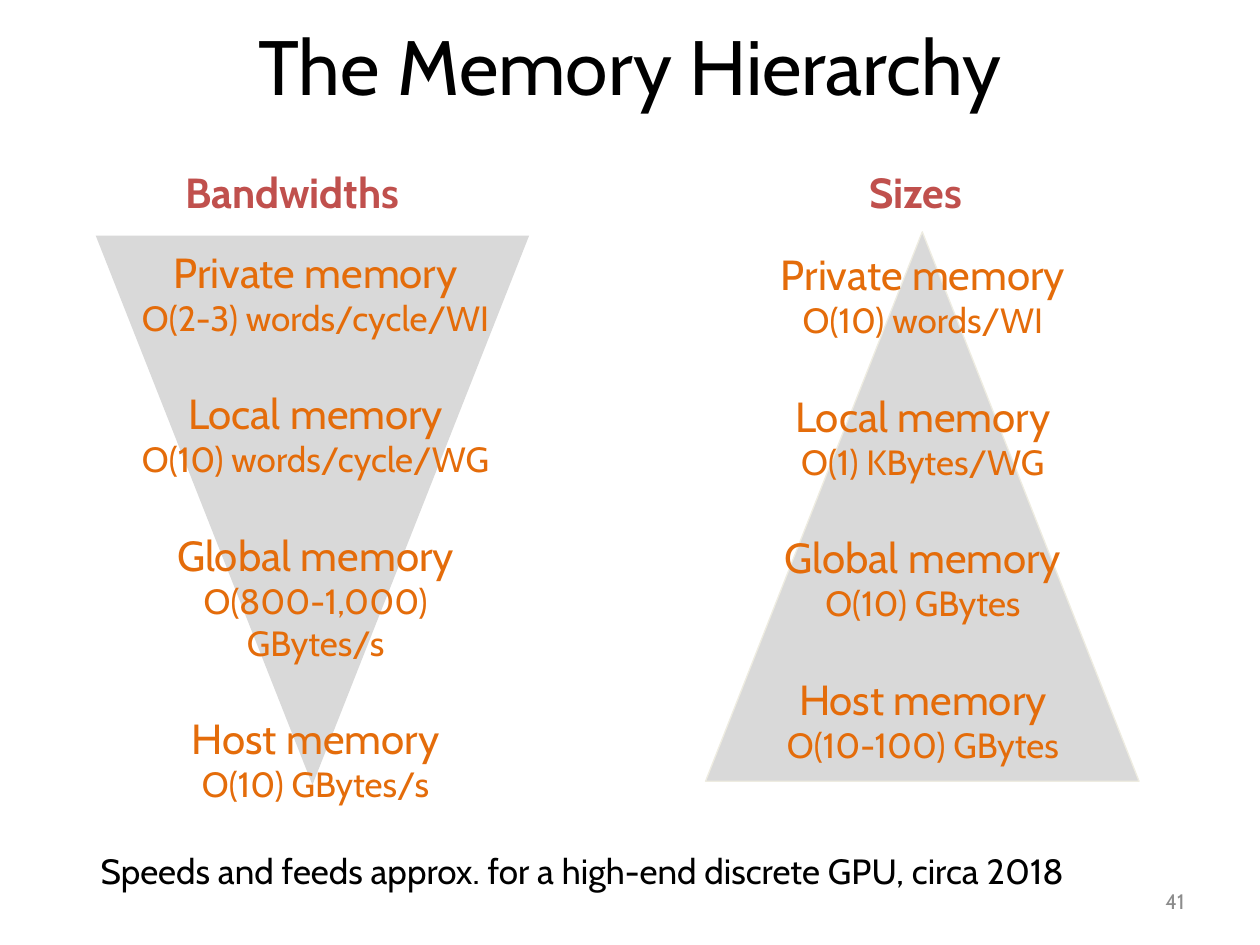
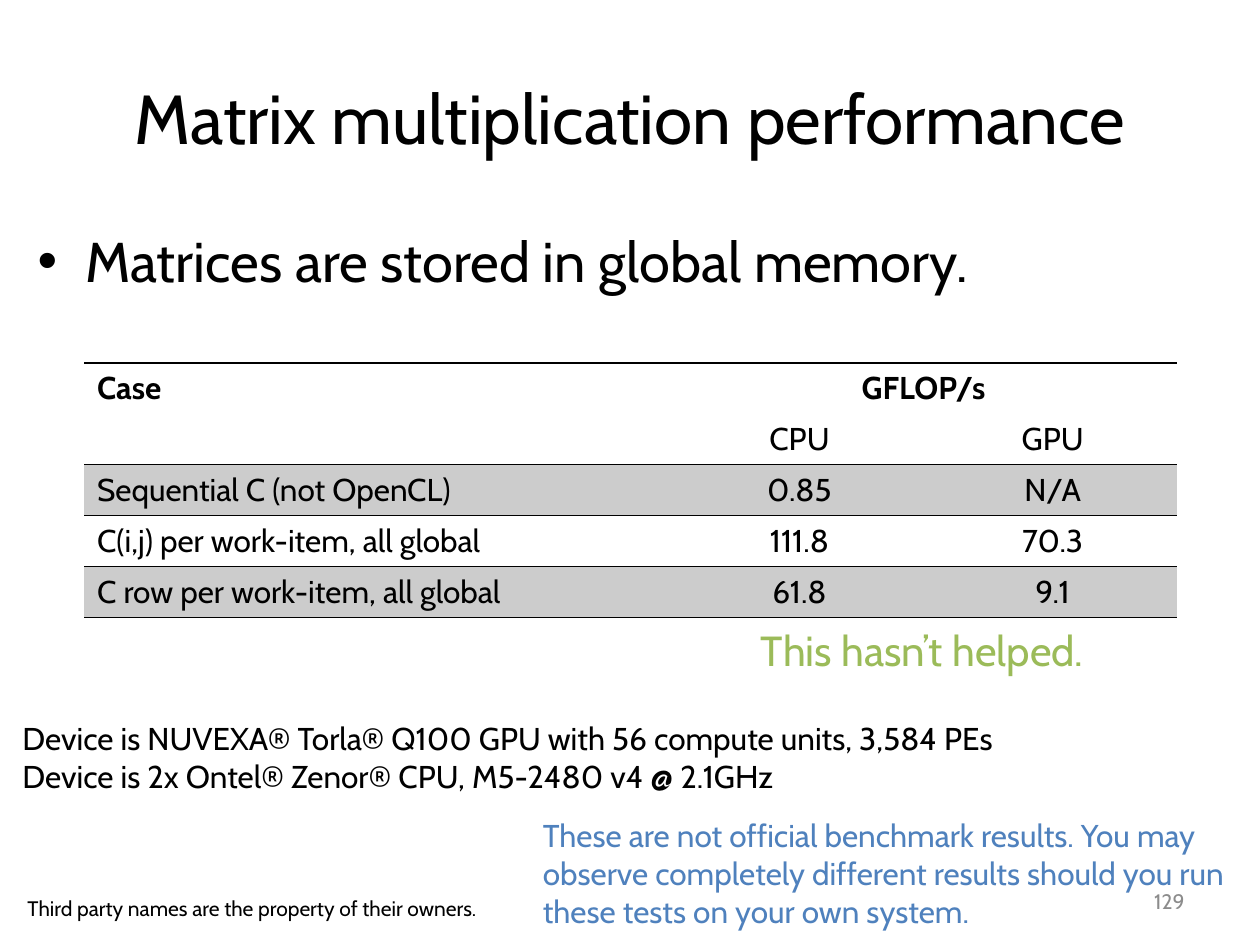
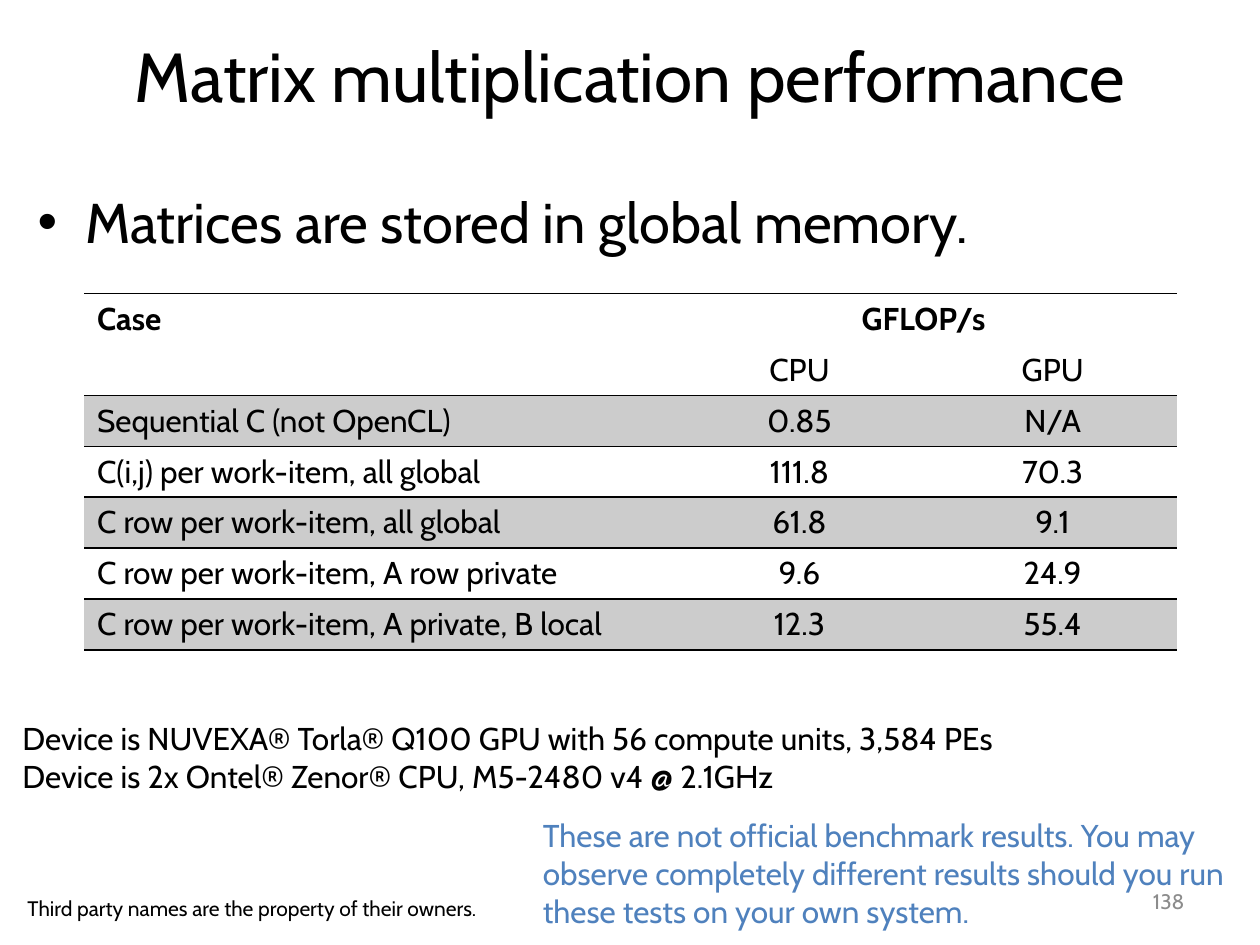
from lxml import etree
from pptx import Presentation
from pptx.dml.color import RGBColor
from pptx.enum.shapes import MSO_SHAPE
from pptx.enum.text import MSO_ANCHOR, MSO_AUTO_SIZE, PP_ALIGN
from pptx.oxml.ns import qn
from pptx.util import Inches, Pt

LEFT, CENTER, RIGHT = PP_ALIGN.LEFT, PP_ALIGN.CENTER, PP_ALIGN.RIGHT
TOP, MIDDLE = MSO_ANCHOR.TOP, MSO_ANCHOR.MIDDLE
NO_AUTOFIT = MSO_AUTO_SIZE.NONE
TRIANGLE = MSO_SHAPE.ISOSCELES_TRIANGLE

FONT = "Cabin"
BLACK, GREY, BAND, PYRAMID = "000000", "8C8C8C", "CCCCCC", "D9D9D9"
EDGE, RED, ORANGE, BLUE, GREEN = "EEECE1", "C0504D", "E46C0A", "4F81BD", "9BBB59"

TITLE_ONLY = 5
TIGHT = 0.99  # line spacing on the memory slide
LEVEL_GAP = 28.6  # points between memory levels
BULLET_INDENT = 0.38


def rgb(value):
    return RGBColor.from_string(value)


def set_border(cell, sides):
    """Rule the given sides ("T", "B") in black and clear the others."""
    properties = cell._tc.get_or_add_tcPr()
    for position, side in enumerate("LRTB"):
        line = etree.Element(qn(f"a:ln{side}"), w=str(Pt(1)))
        if side in sides:
            fill = etree.SubElement(line, qn("a:solidFill"))
            etree.SubElement(fill, qn("a:srgbClr"), val=BLACK)
        else:
            etree.SubElement(line, qn("a:noFill"))
        properties.insert(position, line)


class Deck:
    def __init__(self):
        self.presentation = Presentation()
        self.presentation.slide_width = Inches(10)
        self.presentation.slide_height = Inches(7.5)
        self.slide = None

    def style(self, paragraph, size, color=BLACK, bold=False, align=LEFT):
        paragraph.alignment = align
        font = paragraph.font
        font.name, font.size, font.bold = FONT, Pt(size), bold
        font.color.rgb = rgb(color)

    def add_slide(self, title, top, size, number):
        layout = self.presentation.slide_layouts[TITLE_ONLY]
        self.slide = self.presentation.slides.add_slide(layout)
        heading = self.slide.shapes.title
        heading.left, heading.top = Inches(0.5), Inches(top)
        heading.width, heading.height = Inches(9), Inches(1.25)
        frame = heading.text_frame
        frame.text = title
        frame.auto_size = NO_AUTOFIT
        frame.vertical_anchor = MIDDLE
        self.style(frame.paragraphs[0], size, align=CENTER)
        self.text([number], (7.17, 6.95, 2.33, 0.4), 12, GREY, align=RIGHT, anchor=MIDDLE)

    def text(self, lines, box, size, color=BLACK, bold=False, align=LEFT,
             anchor=TOP, spacing=None):
        frame = self.slide.shapes.add_textbox(*map(Inches, box)).text_frame
        frame.word_wrap = True
        frame.vertical_anchor = anchor
        frame.text = "\n".join(lines)
        for paragraph in frame.paragraphs:
            self.style(paragraph, size, color, bold, align)
            paragraph.line_spacing = spacing
        return frame

    def bullet(self, line, box, size):
        frame = self.slide.shapes.add_textbox(*map(Inches, box)).text_frame
        frame.word_wrap = True
        paragraph = frame.paragraphs[0]
        paragraph.text = line
        properties = paragraph._p.get_or_add_pPr()
        properties.set("marL", str(Inches(BULLET_INDENT)))
        properties.set("indent", str(-Inches(BULLET_INDENT)))
        etree.SubElement(properties, qn("a:buFont"), typeface="Arial")
        etree.SubElement(properties, qn("a:buChar"), char="•")
        self.style(paragraph, size)

    def triangle(self, left, top, edge=None, pointing_down=False):
        pyramid = self.slide.shapes.add_shape(
            TRIANGLE, Inches(left), Inches(top), Inches(3.44), Inches(4.36))
        pyramid.shadow.inherit = False
        pyramid.fill.solid()
        pyramid.fill.fore_color.rgb = rgb(PYRAMID)
        if edge:
            pyramid.line.color.rgb = rgb(edge)
            pyramid.line.width = Pt(0.75)
        else:
            pyramid.line.fill.background()
        if pointing_down:
            pyramid._element.spPr.get_or_add_xfrm().set("flipV", "1")

    def memory_levels(self, levels, box):
        """Stack each memory name over its figure."""
        lines = [line for level in levels for line in level]
        frame = self.text(lines, box, 24, ORANGE, align=CENTER, spacing=TIGHT)
        for figure in frame.paragraphs[1::2]:
            figure.font.size = Pt(20)
        for name in frame.paragraphs[2::2]:
            name.space_before = Pt(LEVEL_GAP)

    def results_table(self, results, top, height):
        rows = [("Case", "GFLOP/s", ""), ("", "CPU", "GPU"), *results]
        table = self.slide.shapes.add_table(
            len(rows), 3, Inches(0.67), Inches(top), Inches(8.66), Inches(height)).table
        table.first_row = table.horz_banding = False
        for column, width in zip(table.columns, (4.65, 2.05, 1.97)):
            column.width = Inches(width)
        table.cell(0, 0).merge(table.cell(1, 0))
        table.cell(0, 1).merge(table.cell(0, 2))

        for r, row in enumerate(rows):
            for c, value in enumerate(row):
                cell = table.cell(r, c)
                if r >= 2 and r % 2 == 0:
                    cell.fill.solid()
                    cell.fill.fore_color.rgb = rgb(BAND)
                else:
                    cell.fill.background()
                # No rule between the two header rows
                above = "T" if r != 1 else ""
                below = "B" if r != 0 or cell.span_height > 1 else ""
                set_border(cell, above + below)
                cell.vertical_anchor = MIDDLE if c else TOP
                if not cell.is_spanned:
                    cell.text = value
                    self.style(cell.text_frame.paragraphs[0], 18, bold=r == 0,
                               align=CENTER if c else LEFT)

    def performance_slide(self, number, title_top, bullet_top, table_top, table_height, results):
        self.add_slide("Matrix multiplication performance", title_top, 39.6, number)
        self.bullet("Matrices are stored in global memory.", (0.2, bullet_top, 9.61, 0.9), 32)
        self.results_table(results, table_top, table_height)
        # Test conditions and disclaimers
        self.text(["Third party names are the property of their owners."],
                  (0.12, 7.06, 4.1, 0.4), 12)
        self.text(["These are not official benchmark results. You may observe completely "
                   "different results should you run these tests on your own system."],
                  (4.21, 6.43, 5.71, 1.01), 18, BLUE)
        self.text(["Device is NUVEXA® Torla® Q100 GPU with 56 compute units, 3,584 PEs",
                   "Device is 2x Ontel® Zenor® CPU, M5-2480 v4 @ 2.1GHz"],
                  (0.08, 5.66, 9.72, 0.71), 18)


def main():
    deck = Deck()

    # Memory hierarchy
    deck.add_slide("The Memory Hierarchy", -0.11, 44, "41")
    deck.triangle(5.6, 1.84, edge=EDGE)
    deck.memory_levels([
        ("Private memory", "O(10) words/WI"),
        ("Local memory", "O(1) KBytes/WG"),
        ("Global memory", "O(10) GBytes"),
        ("Host memory", "O(10-100) GBytes"),
    ], (6.03, 1.94, 2.59, 4.23))
    deck.triangle(0.76, 1.87, pointing_down=True)
    deck.memory_levels([
        ("Private memory", "O(2-3) words/cycle/WI"),
        ("Local memory", "O(10) words/cycle/WG"),
        ("Global memory", "O(800-1,000) GBytes/s"),
        ("Host memory", "O(10) GBytes/s"),
    ], (0.96, 1.92, 3.09, 4.23))
    deck.text(["Speeds and feeds approx. for a high-end discrete GPU, circa 2018"],
              (0.7, 6.71, 8.46, 0.43), 20, spacing=TIGHT)
    for heading, left, width in (("Bandwidths", 1.37, 2.01), ("Sizes", 6.8, 0.99)):
        deck.text([heading], (left, 1.29, width, 0.5), 24, RED, bold=True, spacing=TIGHT)

    # Global memory results
    global_results = [
        ("Sequential C (not OpenCL)", "0.85", "N/A"),
        ("C(i,j) per work-item, all global", "111.8", "70.3"),
        ("C row per work-item, all global", "61.8", "9.1"),
    ]
    deck.performance_slide("129", 0.3, 1.75, 2.88, 2.02, global_results)
    deck.text(["This hasn’t helped."], (5.94, 4.91, 3.11, 0.5), 24, GREEN)

    # Private and local memory results
    private_results = [
        ("C row per work-item, A row private", "9.6", "24.9"),
        ("C row per work-item, A private, B local", "12.3", "55.4"),
    ]
    deck.performance_slide("138", -0.03, 1.44, 2.33, 2.83, global_results + private_results)

    deck.presentation.save("out.pptx")


if __name__ == "__main__":
    main()
